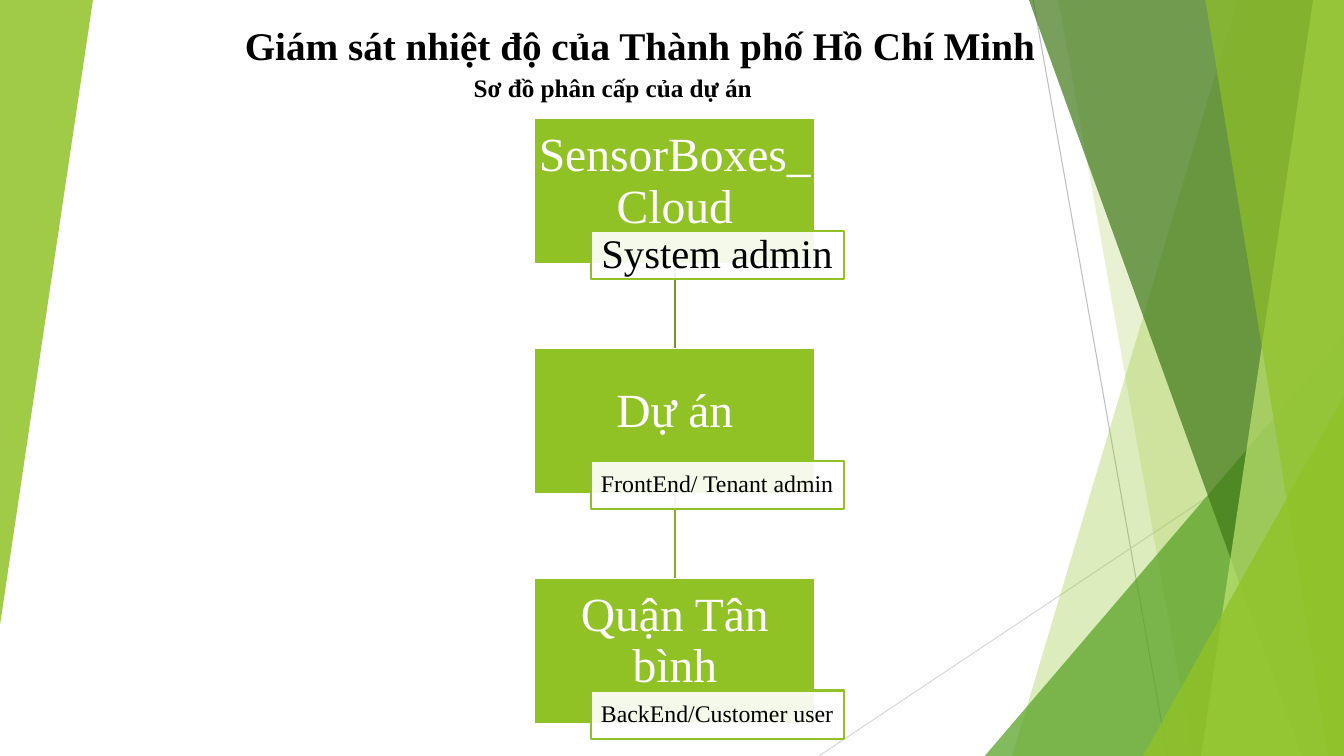
from dataclasses import dataclass

from lxml.etree import SubElement as Sub
from pptx import Presentation
from pptx.dml.color import RGBColor as RGB
from pptx.enum.shapes import MSO_CONNECTOR as Conn, MSO_SHAPE as Kind
from pptx.enum.text import MSO_ANCHOR as Anchor, MSO_AUTO_SIZE as Fit, PP_ALIGN as Align
from pptx.oxml.ns import qn
from pptx.shapes.autoshape import Shape
from pptx.shapes.connector import Connector
from pptx.text.text import Font
from pptx.util import Pt


@dataclass(frozen=True)
class Theme:
    font: str = "Times New Roman"
    green: str = "90C226"
    leaf: str = "54A021"
    forest: str = "3F7818"
    lime: str = "BFE471"
    white: str = "FFFFFF"
    black: str = "000000"
    gray: str = "BFBFBF"
    pale: str = "D8D8D8"
    links: tuple[str, str] = ("71991B", "81AF1F")
    title: int = 28
    sub: int = 18
    node: int = 34
    lead: int = 29
    tag: int = 17


@dataclass(frozen=True)
class Band:
    top: float
    base: float
    color: str
    alpha: int


@dataclass(frozen=True)
class Wedge:
    left: float
    top: float
    width: float
    height: float
    color: str
    alpha: int
    turn: int = 0


@dataclass(frozen=True)
class Level:
    name: str
    role: str
    size: int
    pad: tuple[float, float]


@dataclass(frozen=True)
class Head:
    text: str
    left: float
    top: float
    width: float
    height: float
    size: int


WIDE, HIGH = 960, 540
LEFT, TOP, STEP = 381.6, 84.2, 164.2
BOX = (200.9, 104.4)
TAG = (180.7, 34.6)
SHIFT = (40.3, 80.6)
EDGE = 1.5

look = Theme()
DECOR = (
    Band(884, 723, look.green, 30),
    Band(756, 852, look.green, 20),
    Wedge(703.4, 240, 256.6, 300, look.leaf, 72),
    Band(735, 929.5, look.forest, 70),
    Band(938, 858, look.lime, 70),
    Band(861, 949, look.green, 65),
    Wedge(816.5, 283, 143.5, 257, look.green, 80),
    Wedge(0, 0, 66.4, 446.4, look.green, 85, 180),
)
HEADS = (
    Head("Giám sát nhiệt độ của Thành phố Hồ Chí Minh", 167.8, 11.5, 643, 41, look.title),
    Head("Sơ đồ phân cấp của dự án", 331.2, 48.2, 535.7, 28.8, look.sub),
)
LEVELS = (
    Level("SensorBoxes_ Cloud", "System admin", look.lead, (5.8, 1.4)),
    Level("Dự án", "FrontEnd/ Tenant admin", look.tag, (3.6, 0.7)),
    Level("Quận Tân bình", "BackEnd/Customer user", look.tag, (3.6, 0.7)),
)

deck = Presentation()
deck.slide_width, deck.slide_height = Pt(WIDE), Pt(HIGH)
slide = deck.slides.add_slide(deck.slide_layouts[6])
shapes = slide.shapes


def paint(shape: Shape, color: str, alpha: int = 100) -> None:
    shape.shadow.inherit = False
    shape.fill.solid()
    shape.fill.fore_color.rgb = RGB.from_string(color)
    if alpha < 100:
        tint = shape.element.spPr.find(qn("a:solidFill"))[0]
        Sub(tint, qn("a:alpha"), val=str(alpha * 1000))


def draw(item: Band | Wedge) -> None:
    if isinstance(item, Band):
        pen = shapes.build_freeform(item.top, 0, scale=Pt(1))
        pen.add_line_segments([(WIDE, 0), (WIDE, HIGH), (item.base, HIGH)])
        shape = pen.convert_to_shape()
    else:
        shape = shapes.add_shape(Kind.ISOSCELES_TRIANGLE, Pt(item.left), Pt(item.top),
                                 Pt(item.width), Pt(item.height))
        shape.adjustments[0] = 1
        shape.rotation = item.turn
    paint(shape, item.color, item.alpha)
    shape.line.fill.background()


def link(x1: float, y1: float, x2: float, y2: float, color: str, width: float) -> Connector:
    line = shapes.add_connector(Conn.STRAIGHT, Pt(x1), Pt(y1), Pt(x2), Pt(y2))
    line.line.color.rgb = RGB.from_string(color)
    line.line.width = Pt(width)
    Sub(line.element.spPr, qn("a:effectLst"))
    return line


def write(shape: Shape, text: str, size: int, color: str,
          pads: tuple[float, float, float, float]) -> None:
    frame = shape.text_frame
    frame.word_wrap = True
    frame.vertical_anchor = Anchor.MIDDLE
    frame.margin_left, frame.margin_top, frame.margin_right, frame.margin_bottom = map(Pt, pads)
    para = frame.paragraphs[0]
    para.text = text
    para.alignment = Align.CENTER
    para.line_spacing = 0.9
    style(para.font, size, color)


def style(font: Font, size: int, color: str) -> None:
    font.name, font.size = look.font, Pt(size)
    font.color.rgb = RGB.from_string(color)


def card(left: float, top: float, area: tuple[float, float], color: str,
         edge: str, alpha: int = 100) -> Shape:
    shape = shapes.add_shape(Kind.RECTANGLE, Pt(left), Pt(top), *map(Pt, area))
    paint(shape, color, alpha)
    shape.line.color.rgb = RGB.from_string(edge)
    shape.line.width = Pt(EDGE)
    return shape


def label(head: Head) -> None:
    box = shapes.add_textbox(Pt(head.left), Pt(head.top), Pt(head.width), Pt(head.height))
    frame = box.text_frame
    frame.word_wrap = True
    frame.auto_size = Fit.SHAPE_TO_FIT_TEXT
    para = frame.paragraphs[0]
    para.text = head.text
    style(para.font, head.size, look.black)
    para.font.bold = True


def chart(levels: tuple[Level, ...]) -> None:
    boxes = []
    for row, level in enumerate(levels):
        box = card(LEFT, TOP + row * STEP, BOX, look.green, look.white)
        write(box, level.name, look.node, look.white, (1.5, 1.5, 1.5, 14.4))
        boxes.append(box)
    for above, below, color in zip(boxes, boxes[1:], look.links):
        line = link(0, 0, 0, 0, color, EDGE)
        line.begin_connect(above, 2)
        line.end_connect(below, 0)
    for row, level in enumerate(levels):
        tag = card(LEFT + SHIFT[0], TOP + row * STEP + SHIFT[1], TAG,
                   look.white, look.green, 90)
        write(tag, level.role, level.size, look.black, level.pad * 2)


link(738, 0, 834, HIGH, look.gray, 0.75)
link(WIDE, 290, 585, HIGH, look.pale, 0.75)
for item in DECOR:
    draw(item)
for head in HEADS:
    label(head)
chart(LEVELS)
deck.save("out.pptx")
